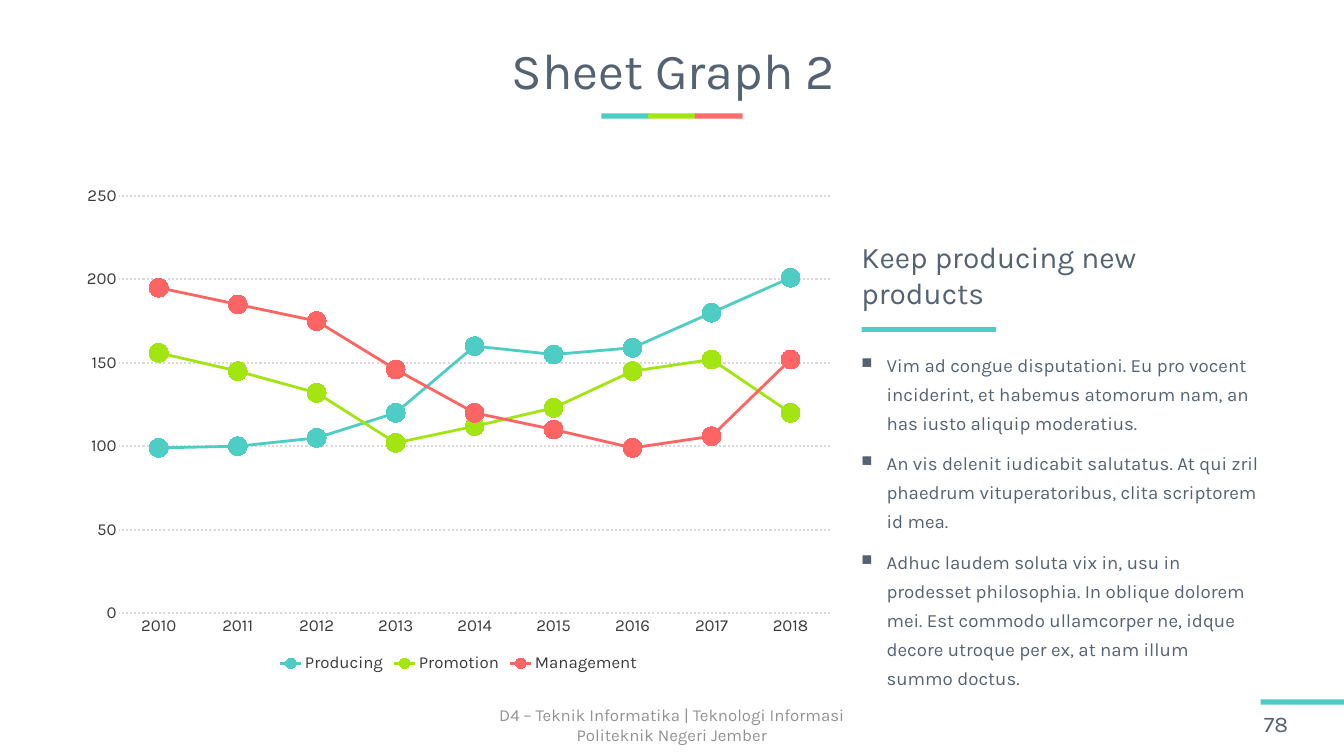
from dataclasses import dataclass

from lxml import etree
from pptx import Presentation
from pptx.chart.data import CategoryChartData
from pptx.dml.color import RGBColor
from pptx.enum.chart import XL_CHART_TYPE, XL_LEGEND_POSITION, XL_MARKER_STYLE, XL_TICK_MARK
from pptx.enum.dml import MSO_LINE
from pptx.enum.shapes import MSO_SHAPE
from pptx.enum.text import MSO_ANCHOR, MSO_AUTO_SIZE, PP_ALIGN
from pptx.oxml.ns import qn
from pptx.util import Cm, Pt

LINE_CHART = XL_CHART_TYPE.LINE_MARKERS
LEGEND_BOTTOM = XL_LEGEND_POSITION.BOTTOM
CIRCLE = XL_MARKER_STYLE.CIRCLE
NO_TICK = XL_TICK_MARK.NONE
DOTTED = MSO_LINE.ROUND_DOT
RECTANGLE = MSO_SHAPE.RECTANGLE
TOP, MIDDLE, BOTTOM = MSO_ANCHOR.TOP, MSO_ANCHOR.MIDDLE, MSO_ANCHOR.BOTTOM
LEFT, CENTER = PP_ALIGN.LEFT, PP_ALIGN.CENTER
NO_AUTOFIT = MSO_AUTO_SIZE.NONE
TITLE_ONLY = 5


@dataclass(frozen=True)
class Theme:
    font: str = "Karla"
    text: str = "556272"
    footer: str = "929292"
    chart_text: str = "3B3B3B"
    grid: str = "D9D9D9"
    teal: str = "4ECDC4"
    green: str = "A3E511"
    red: str = "FF6B6B"
    chart_red: str = "FD6565"
    title_size: int = 54
    heading_size: int = 32
    number_size: int = 24
    body_size: int = 20
    small_size: int = 18


YEARS = [str(year) for year in range(2010, 2019)]
BULLETS = [
    "Vim ad congue disputationi. Eu pro vocent inciderint, et habemus atomorum nam, "
    "an has iusto aliquip moderatius.",
    "An vis delenit iudicabit salutatus. At qui zril phaedrum vituperatoribus, "
    "clita scriptorem id mea.",
    "Adhuc laudem soluta vix in, usu in prodesset philosophia. In oblique dolorem mei. "
    "Est commodo ullamcorper ne, idque decore utroque per ex, at nam illum summo doctus.",
]


class PageBuilder:
    """Holds the theme and the current slide."""

    def __init__(self, deck, theme):
        self.theme = theme
        self.page = deck.slides.add_slide(deck.slide_layouts[TITLE_ONLY])

    def style_font(self, font, size, color):
        font.name = self.theme.font
        font.size = Pt(size)
        font.color.rgb = RGBColor.from_string(color)

    def fill_text(self, box, lines, size, color, align=LEFT, anchor=TOP, spacing=None):
        """Write one paragraph per line and return the paragraphs."""
        frame = box.text_frame
        frame.word_wrap = True
        frame.auto_size = NO_AUTOFIT
        frame.vertical_anchor = anchor
        for index, line in enumerate(lines):
            para = frame.add_paragraph() if index else frame.paragraphs[0]
            para.alignment = align
            if spacing:
                para.line_spacing = spacing
            span = para.add_run()
            span.text = line
            self.style_font(span.font, size, color)
        return frame.paragraphs

    def title(self, text, left, top, width, height):
        box = self.page.shapes.title
        box.left, box.top, box.width, box.height = Cm(left), Cm(top), Cm(width), Cm(height)
        self.fill_text(box, [text], self.theme.title_size, self.theme.text,
                       CENTER, MIDDLE, 0.9)

    def text(self, lines, left, top, width, height, size, color, **layout):
        box = self.page.shapes.add_textbox(Cm(left), Cm(top), Cm(width), Cm(height))
        return self.fill_text(box, lines, size, color, **layout)

    def bullets(self, lines, left, top, width, height):
        paras = self.text(lines, left, top, width, height,
                          self.theme.body_size, self.theme.text, spacing=1.3)
        for para in paras:
            para.space_before = Pt(12)
            properties = para._p.get_or_add_pPr()
            properties.set("marL", str(Cm(0.95)))
            properties.set("indent", str(-Cm(0.95)))
            etree.SubElement(properties, qn("a:buSzPct")).set("val", "80000")
            etree.SubElement(properties, qn("a:buChar")).set("char", "■")

    def bar(self, left, top, width, height, color):
        shape = self.page.shapes.add_shape(RECTANGLE, Cm(left), Cm(top), Cm(width), Cm(height))
        shape.shadow.inherit = False
        shape.fill.solid()
        shape.fill.fore_color.rgb = RGBColor.from_string(color)
        shape.line.fill.background()

    def line_chart(self, categories, series, left, top, width, height):
        """Draw series given as (name, color, values)."""
        data = CategoryChartData()
        data.categories = categories
        for name, _, values in series:
            data.add_series(name, values)
        chart = self.page.shapes.add_chart(
            LINE_CHART, Cm(left), Cm(top), Cm(width), Cm(height), data).chart
        self.style_font(chart.font, self.theme.small_size, self.theme.chart_text)
        chart.has_title = False
        chart.has_legend = True
        chart.legend.position = LEGEND_BOTTOM
        chart.legend.include_in_layout = False
        chart.plots[0].vary_by_categories = False
        self.style_axes(chart)
        for line, (_, color, _) in zip(chart.plots[0].series, series):
            rgb = RGBColor.from_string(color)
            line.smooth = False
            line.format.line.width = Pt(3)
            line.format.line.color.rgb = rgb
            line.marker.style = CIRCLE
            line.marker.size = 20
            line.marker.format.fill.solid()
            line.marker.format.fill.fore_color.rgb = rgb
            line.marker.format.line.fill.background()

    def style_axes(self, chart):
        for axis in (chart.category_axis, chart.value_axis):
            axis.major_tick_mark = axis.minor_tick_mark = NO_TICK
            axis.format.line.fill.background()
        scale = chart.value_axis
        scale.minimum_scale, scale.maximum_scale, scale.major_unit = 0, 250, 50
        scale.has_major_gridlines = True
        grid = scale.major_gridlines.format.line
        grid.color.rgb = RGBColor.from_string(self.theme.grid)
        grid.width = Pt(2.25)
        grid.dash_style = DOTTED


def main():
    deck = Presentation()
    deck.slide_width, deck.slide_height = Cm(50.8), Cm(28.58)
    theme = Theme()
    builder = PageBuilder(deck, theme)

    for index, color in enumerate((theme.teal, theme.green, theme.red)):
        builder.bar(22.73 + 1.77 * index, 4.29, 1.8, 0.2, color)
    builder.bar(47.65, 26.44, 3.15, 0.2, theme.teal)

    builder.title("Sheet Graph 2", 1.37, 0.97, 48.16, 3.56)
    builder.text(
        ["D4 – Teknik Informatika | Teknologi Informasi", "Politeknik Negeri Jember"],
        16.82, 26.63, 17.15, 1.52, theme.small_size, theme.footer,
        align=CENTER, anchor=MIDDLE)
    builder.text(["78"], 47.52, 26.67, 3.28, 1.35, theme.number_size, theme.text,
                 anchor=MIDDLE)

    series = [
        ("Producing", theme.teal, (99, 100, 105, 120, 160, 155, 159, 180, 201)),
        ("Promotion", theme.green, (156, 145, 132, 102, 112, 123, 145, 152, 120)),
        ("Management", theme.chart_red, (195, 185, 175, 146, 120, 110, 99, 106, 152)),
    ]
    builder.line_chart(YEARS, series, 2.7, 6.66, 29.26, 18.92)

    builder.bullets(BULLETS, 32.31, 12.98, 15.54, 12.6)
    builder.text(["Keep producing new products"], 32.31, 8.43, 15.57, 3.43,
                 theme.heading_size, theme.text, anchor=BOTTOM)
    builder.bar(32.57, 12.37, 5.08, 0.18, theme.teal)

    deck.save("out.pptx")


if __name__ == "__main__":
    main()
